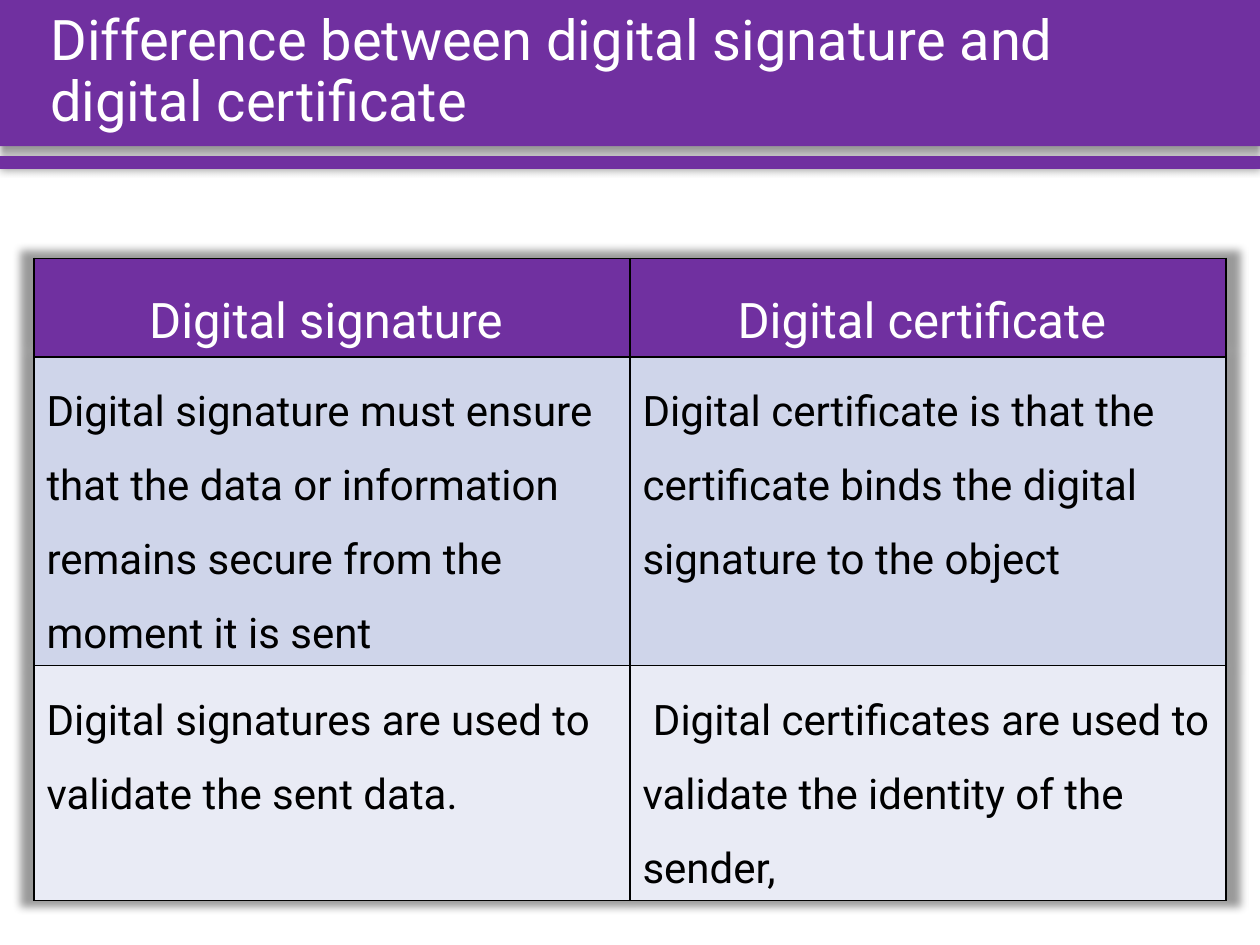
from pptx import Presentation
from pptx.dml.color import RGBColor as RGB
from pptx.enum.shapes import MSO_SHAPE as SHAPE
from pptx.enum.text import MSO_ANCHOR as ANCHOR, MSO_AUTO_SIZE as AUTO, PP_ALIGN as ALIGN
from pptx.oxml import parse_xml
from pptx.oxml.ns import nsdecls
from pptx.util import Pt

COLORS = {
    "purple": "7030A0",
    "white": "FFFFFF",
    "black": "000000",
    "band_dark": "CFD5EA",
    "band_light": "E9EBF5",
}

ROWS = [
    ("Digital signature ", "Digital certificate "),
    ("Digital signature must ensure that the data or information remains secure "
     "from the moment it is sent",
     "Digital certificate is that the certificate binds the digital signature to the object"),
    ("Digital signatures are used to validate the sent data.",
     " Digital certificates are used to validate the identity of the sender,"),
]
ROW_STYLES = [
    ("purple", "white", 28, ALIGN.CENTER),
    ("band_dark", "black", 24, ALIGN.LEFT),
    ("band_light", "black", 24, ALIGN.LEFT),
]
ROW_HEIGHTS = [55.4, 108.7, 73.4]


class SlideBuilder:
    font = "Roboto"

    def __init__(self, slide):
        self.slide = slide

    def color(self, name):
        return RGB.from_string(COLORS[name])

    def shadow(self, blur, dist=0, angle=0, alpha=40, scale=100):
        return parse_xml(
            f'<a:effectLst {nsdecls("a")}><a:outerShdw blurRad="{Pt(blur)}" dist="{Pt(dist)}" '
            f'dir="{angle * 60000}" sx="{scale * 1000}" sy="{scale * 1000}" algn="ctr" '
            f'rotWithShape="0"><a:srgbClr val="{COLORS["black"]}">'
            f'<a:alpha val="{alpha * 1000}"/></a:srgbClr></a:outerShdw></a:effectLst>')

    def text(self, tf, text, size, color, align, spacing):
        tf.text = text
        p = tf.paragraphs[0]
        p.alignment = align
        p.line_spacing = spacing
        r = p.runs[0]
        r.font.name = self.font
        r.font.size = Pt(size)
        r.font.color.rgb = self.color(color)

    def bar(self, top, height, **shadow):
        sp = self.slide.shapes.add_shape(SHAPE.RECTANGLE, 0, Pt(top), Pt(720), Pt(height))
        sp.fill.solid()
        sp.fill.fore_color.rgb = self.color("purple")
        sp.line.fill.background()
        sp._element.spPr.append(self.shadow(**shadow))

    def title(self, text, left, top, width, height):
        sp = self.slide.shapes.title
        sp.left, sp.top, sp.width, sp.height = Pt(left), Pt(top), Pt(width), Pt(height)
        tf = sp.text_frame
        tf.word_wrap = True
        tf.auto_size = AUTO.NONE
        tf.vertical_anchor = ANCHOR.MIDDLE
        self.text(tf, text, 32, "white", ALIGN.LEFT, 0.9)
        self.slide.shapes._spTree.append(sp._element)

    def borders(self, cell):
        tcPr = cell._tc.get_or_add_tcPr()
        for i, side in enumerate("LRTB"):
            tcPr.insert(i, parse_xml(
                f'<a:ln{side} {nsdecls("a")} w="{Pt(1)}"><a:solidFill>'
                f'<a:srgbClr val="{COLORS["black"]}"/></a:solidFill></a:ln{side}>'))

    def table(self, rows, styles, heights, left, top, width, height):
        frame = self.slide.shapes.add_table(
            len(rows), len(rows[0]), Pt(left), Pt(top), Pt(width), Pt(height))
        table = frame.table
        for i, (texts, style) in enumerate(zip(rows, styles)):
            fill, color, size, align = style
            table.rows[i].height = Pt(heights[i])
            for j, text in enumerate(texts):
                cell = table.cell(i, j)
                cell.fill.solid()
                cell.fill.fore_color.rgb = self.color(fill)
                self.borders(cell)
                self.text(cell.text_frame, text, size, color, align, 1.5)
        frame.height = Pt(height)
        table._tbl.tblPr.insert(0, self.shadow(blur=5, scale=102))


def main():
    prs = Presentation()
    prs.slide_width, prs.slide_height = Pt(720), Pt(540)
    s = SlideBuilder(prs.slides.add_slide(prs.slide_layouts[5]))
    s.bar(0, 83.5, blur=4, dist=3, angle=90)
    s.bar(89.3, 7.2, blur=5)
    s.table(ROWS, ROW_STYLES, ROW_HEIGHTS, 19.4, 147.6, 681.2, 360.7)
    s.title("Difference between digital signature and digital certificate", 21.6, 0, 681.1, 83.5)
    prs.save("out.pptx")


if __name__ == "__main__":
    main()
